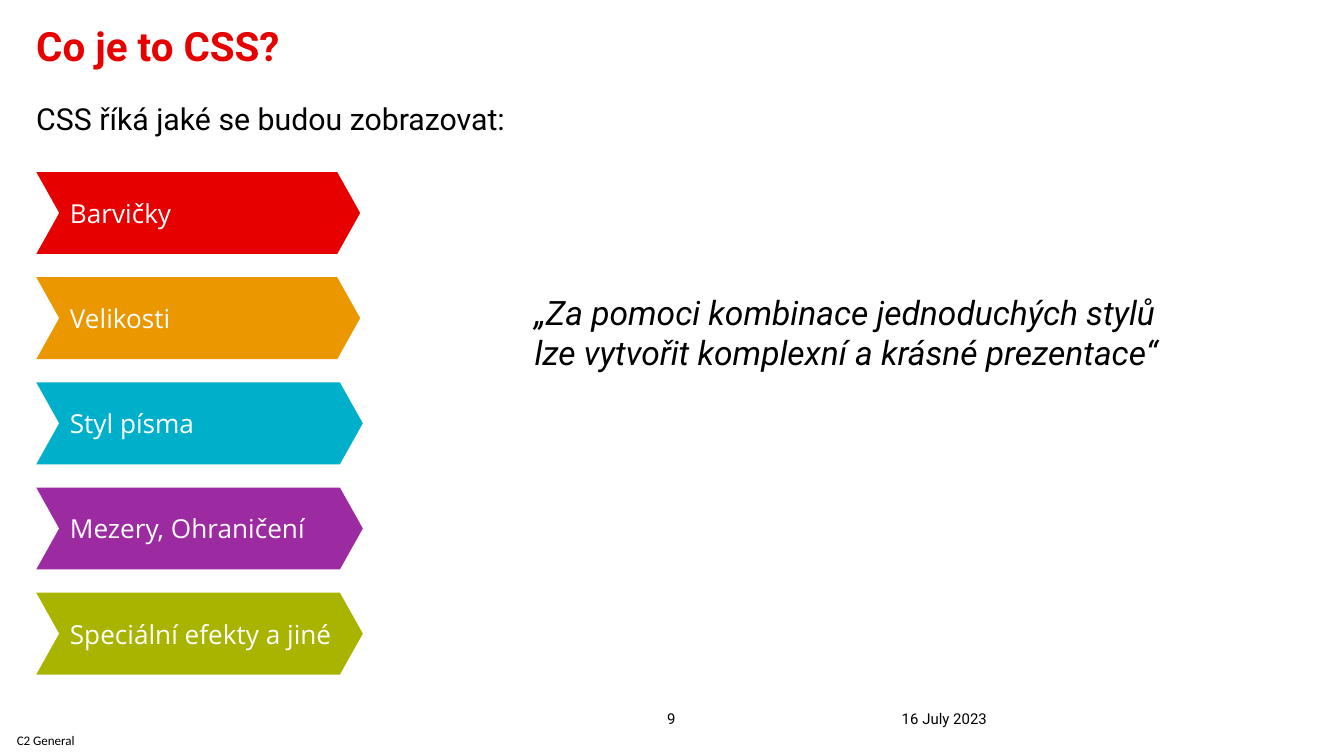
from dataclasses import dataclass

from pptx import Presentation
from pptx.dml.color import RGBColor
from pptx.enum.shapes import MSO_SHAPE
from pptx.enum.text import MSO_ANCHOR, PP_ALIGN
from pptx.util import Inches, Pt

CHEVRON = MSO_SHAPE.CHEVRON
TOP, MIDDLE, BOTTOM = MSO_ANCHOR.TOP, MSO_ANCHOR.MIDDLE, MSO_ANCHOR.BOTTOM
LEFT, CENTER = PP_ALIGN.LEFT, PP_ALIGN.CENTER

BLACK, WHITE, RED = "000000", "FFFFFF", "E60000"
NO_INSETS = (0, 0, 0, 0)
QUOTE_INSETS = (0.1, 0.05, 0.1, 0.05)
CHEVRON_INSETS = (0.08, 0.04, 0.04, 0.04)

# Slide in the 16:9 format
SLIDE_WIDTH = Inches(10)
SLIDE_HEIGHT = SLIDE_WIDTH * 9 // 16

# Chevron column: equal steps from the first to the last top edge
COLUMN_LEFT, FIRST_TOP, LAST_TOP = 0.27, 1.28, 4.41
CHEVRON_HEIGHT, CHEVRON_POINT = 0.61, 0.28


@dataclass
class Line:
    text: str
    size: float
    color: str = BLACK
    font: str = "Roboto"
    bold: bool = False
    italic: bool = False
    align: PP_ALIGN = LEFT
    spacing: float = 1.0
    before: float = 0


@dataclass
class TextBlock:
    box: tuple[float, float, float, float]
    lines: list[Line]
    anchor: MSO_ANCHOR = TOP
    insets: tuple[float, float, float, float] = NO_INSETS
    wrap: bool = True


@dataclass
class StyleTopic:
    label: str
    color: str
    width: float


def rgb(value: str) -> RGBColor:
    return RGBColor.from_string(value)


def write(frame, lines: list[Line], anchor: MSO_ANCHOR, insets: tuple, wrap: bool = True) -> None:
    frame.word_wrap = wrap
    frame.vertical_anchor = anchor
    (frame.margin_left, frame.margin_top,
     frame.margin_right, frame.margin_bottom) = map(Inches, insets)
    for index, line in enumerate(lines):
        paragraph = frame.add_paragraph() if index else frame.paragraphs[0]
        paragraph.alignment = line.align
        paragraph.line_spacing = line.spacing
        if line.before:
            paragraph.space_before = Pt(line.before)
        run = paragraph.add_run()
        run.text = line.text
        run.font.name = line.font
        run.font.size = Pt(line.size)
        run.font.bold = line.bold
        run.font.italic = line.italic
        run.font.color.rgb = rgb(line.color)


def draw_text(slide, block: TextBlock) -> None:
    box = slide.shapes.add_textbox(*map(Inches, block.box))
    write(box.text_frame, block.lines, block.anchor, block.insets, block.wrap)


def draw_topic(slide, topic: StyleTopic, top: float) -> None:
    chevron = slide.shapes.add_shape(
        CHEVRON, Inches(COLUMN_LEFT), Inches(top), Inches(topic.width), Inches(CHEVRON_HEIGHT))
    chevron.adjustments[0] = CHEVRON_POINT
    chevron.shadow.inherit = False
    chevron.fill.solid()
    chevron.fill.fore_color.rgb = rgb(topic.color)
    chevron.line.fill.background()
    label = Line(topic.label, 14, WHITE, "Open Sans")
    write(chevron.text_frame, [label], MIDDLE, CHEVRON_INSETS)


TOPICS = [
    StyleTopic("Barvičky", RED, 2.41),
    StyleTopic("Velikosti", "EB9700", 2.41),
    StyleTopic("Styl písma", "00B0CA", 2.43),
    StyleTopic("Mezery, Ohraničení", "9C2AA0", 2.43),
    StyleTopic("Speciální efekty a jiné", "A8B400", 2.43),
]

TEXTS = [
    # Heading and introduction
    TextBlock((0.27, 0.23, 9.44, 0.97), [
        Line("Co je to CSS?", 21.6, RED, bold=True, spacing=0.8),
        Line("CSS říká jaké se budou zobrazovat:", 16.2, spacing=0.8, before=20),
    ]),
    # Quote
    TextBlock((3.88, 2.12, 5, 0.71), [
        Line("„Za pomoci kombinace jednoduchých stylů "
             "lze vytvořit komplexní a krásné prezentace“", 18, italic=True),
    ], insets=QUOTE_INSETS),
    # Footer: classification, page number, date
    TextBlock((0, 5.44, 0.68, 0.14),
              [Line("C2 General", 7, font="Calibri", align=CENTER)], MIDDLE),
    TextBlock((4.77, 5.15, 0.45, 0.26), [Line("9", 8, align=CENTER)], BOTTOM, wrap=False),
    TextBlock((6.71, 5.15, 2.33, 0.26), [Line("16 July 2023", 8)], BOTTOM),
]


def main() -> None:
    presentation = Presentation()
    presentation.slide_width = SLIDE_WIDTH
    presentation.slide_height = SLIDE_HEIGHT
    slide = presentation.slides.add_slide(presentation.slide_layouts[6])

    for block in TEXTS:
        draw_text(slide, block)

    step = (LAST_TOP - FIRST_TOP) / (len(TOPICS) - 1)
    for index, topic in enumerate(TOPICS):
        draw_topic(slide, topic, FIRST_TOP + index * step)

    presentation.save("out.pptx")


if __name__ == "__main__":
    main()
